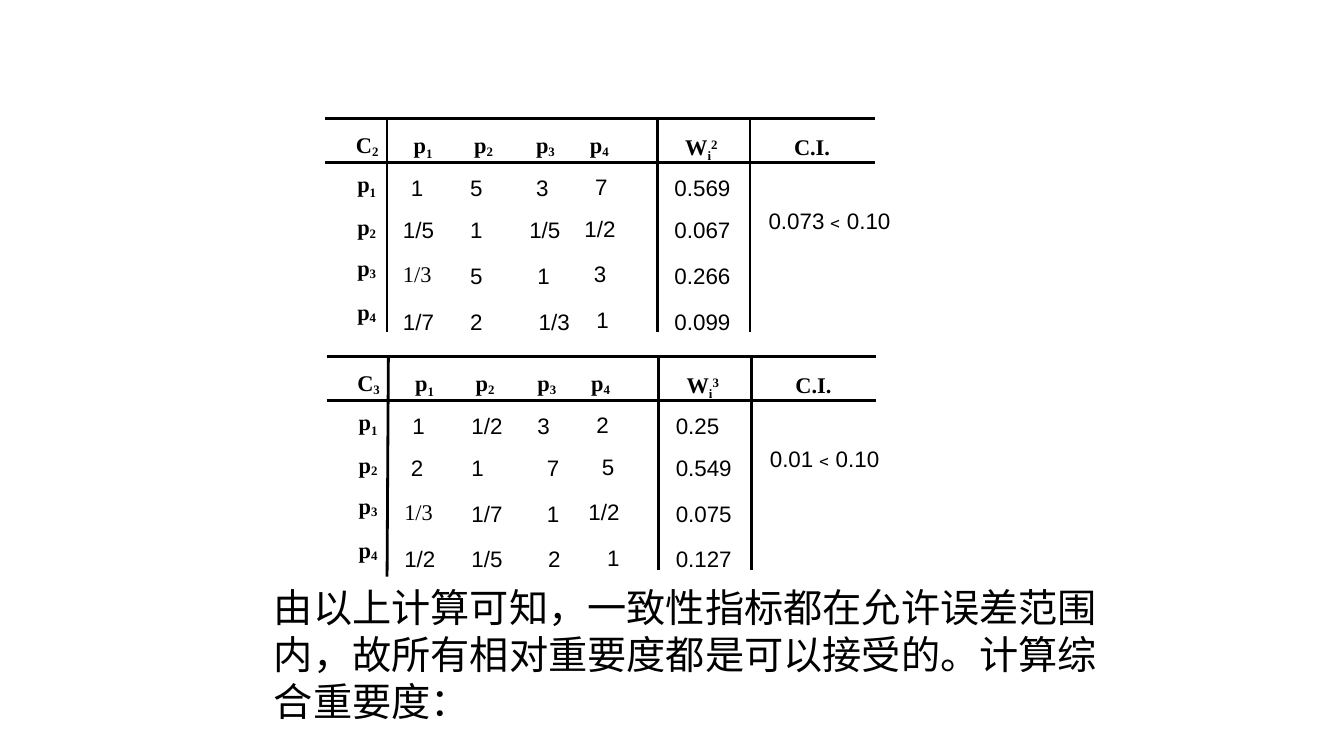
from dataclasses import dataclass

import pptx
import pptx.dml.color
import pptx.enum.shapes
import pptx.enum.text
import pptx.util
from lxml import etree

EMU_PER_PX = 9144  # 100 px to the inch
DRAWING = "{http://schemas.openxmlformats.org/drawingml/2006/main}"


@dataclass(frozen=True)
class Theme:
    ink: str = "000000"
    number_font: str = "Arial"
    symbol_font: str = "Times New Roman"
    table_size: int = 12
    body_size: int = 21
    rule_width: float = 1.5


@dataclass(frozen=True)
class Judgement:
    """One pairwise comparison table; each matrix cell is (text, left)."""
    number: int
    matrix: tuple
    weights: tuple
    consistency: str
    stub_lean: int = 0
    stub_extra: int = 0


JUDGEMENTS = (
    Judgement(2, (
        (("1", 296), ("5", 340), ("3", 389), ("7", 433)),
        (("1/5", 290), ("1", 340), ("1/5", 384), ("1/2", 425)),
        (("1/3", 290), ("5", 340), ("1", 390), ("3", 432)),
        (("1/7", 290), ("2", 340), ("1/3", 391), ("1", 434)),
    ), ("0.569", "0.067", "0.266", "0.099"), "0.073﹤0.10"),
    Judgement(3, (
        (("1", 296), ("1/2", 340), ("3", 389), ("2", 433)),
        (("2", 295), ("1", 340), ("7", 396), ("5", 437)),
        (("1/3", 290), ("1/7", 340), ("1", 396), ("1/2", 427)),
        (("1/2", 290), ("1/5", 340), ("2", 397), ("1", 441)),
    ), ("0.25", "0.549", "0.075", "0.127"), "0.01﹤0.10", -1, 5),
)
TABLE_SHIFT = (1, 177)
HEADER_LEFTS = (298, 343, 389, 429)
LABEL_TOPS = (122, 154, 184, 217)
CELL_TOPS = (125, 156, 190, 224)
CELL_HEIGHT = 30
GLYPH_WIDTHS = {"/": 4.6, ".": 4.6, "﹤": 17}


def px(length):
    return pptx.util.Emu(length * EMU_PER_PX)


def number_width(text):
    """Width of a box that just holds a number, with its side insets."""
    return round(21 + sum(GLYPH_WIDTHS.get(glyph, 9.3) for glyph in text))


class SlideWriter:
    def __init__(self, slide, theme):
        self.slide = slide
        self.theme = theme
        self.shift = (0, 0)

    def line(self, x1, y1, x2, y2):
        dx, dy = self.shift
        rule = self.slide.shapes.add_connector(
            pptx.enum.shapes.MSO_CONNECTOR.STRAIGHT,
            px(x1 + dx), px(y1 + dy), px(x2 + dx), px(y2 + dy))
        rule.line.color.rgb = pptx.dml.color.RGBColor.from_string(self.theme.ink)
        rule.line.width = pptx.util.Pt(self.theme.rule_width)
        etree.SubElement(rule._element.spPr, DRAWING + "effectLst")

    def text(self, left, top, width, height, parts, font, size, bold=False, wrap=False):
        """Write parts, pairs of text and baseline shift in percent."""
        dx, dy = self.shift
        box = self.slide.shapes.add_textbox(
            px(left + dx), px(top + dy), px(width), px(height))
        box.text_frame.word_wrap = wrap
        box.text_frame.auto_size = pptx.enum.text.MSO_AUTO_SIZE.SHAPE_TO_FIT_TEXT
        para = box.text_frame.paragraphs[0]
        for words, baseline in parts:
            span = para.add_run()
            span.text = words
            span.font.name = font
            span.font.size = pptx.util.Pt(size)
            span.font.bold = bold
            span.font.color.rgb = pptx.dml.color.RGBColor.from_string(self.theme.ink)
            if baseline:
                span.font._element.set("baseline", str(baseline * 1000))

    def symbol(self, left, top, width, *parts, bold=True):
        self.text(left, top, width, CELL_HEIGHT, parts,
                  self.theme.symbol_font, self.theme.table_size, bold)

    def number(self, left, top, words):
        self.text(left, top, number_width(words), CELL_HEIGHT, [(words, 0)],
                  self.theme.number_font, self.theme.table_size)

    def criterion(self, left, top, index):
        self.symbol(left, top, 35, ("p", 0), (str(index), -20 if index == 1 else -10))

    def frame(self, table):
        for y in (88, 121):
            self.line(242, y, 651, y)
        for x in (489, 558):
            self.line(x, 88, x, 247)
        self.line(288, 88, 288 + table.stub_lean, 247 + table.stub_extra)

    def headings(self, table):
        self.symbol(255, 93, 38, ("C", 0), (str(table.number), -10))
        for index, left in enumerate(HEADER_LEFTS, 1):
            self.criterion(left, 93, index)
        self.symbol(500, 94, 45, ("W", 0), ("i", -25), (str(table.number), 26))
        self.symbol(581, 94, 47, ("C.I.", 0))
        for index, top in enumerate(LABEL_TOPS, 1):
            self.criterion(256, top, index)

    def judgement(self, table):
        self.frame(table)
        self.headings(table)
        for top, row, weight in zip(CELL_TOPS, table.matrix, table.weights):
            for column, (words, left) in enumerate(row):
                if words == "1/3" and column == 0:
                    self.symbol(left, top - 1, 42, (words, 0), bold=False)
                else:
                    self.number(left, top - (column == 3), words)
            self.number(492, top, weight)
        self.number(562, 149, table.consistency)

    def conclusion(self, words):
        self.text(194, 429, 654, 116, [(words, 0)],
                  self.theme.number_font, self.theme.body_size, wrap=True)


def main():
    deck = pptx.Presentation()
    deck.slide_width = px(1000)
    deck.slide_height = deck.slide_width * 9 // 16
    page = deck.slides.add_slide(deck.slide_layouts[6])
    writer = SlideWriter(page, Theme())
    for order, table in enumerate(JUDGEMENTS):
        writer.shift = tuple(order * step for step in TABLE_SHIFT)
        writer.judgement(table)
    writer.shift = (0, 0)
    writer.conclusion("由以上计算可知，一致性指标都在允许误差范围内，"
                      "故所有相对重要度都是可以接受的。计算综合重要度：")
    deck.save("out.pptx")


if __name__ == "__main__":
    main()
